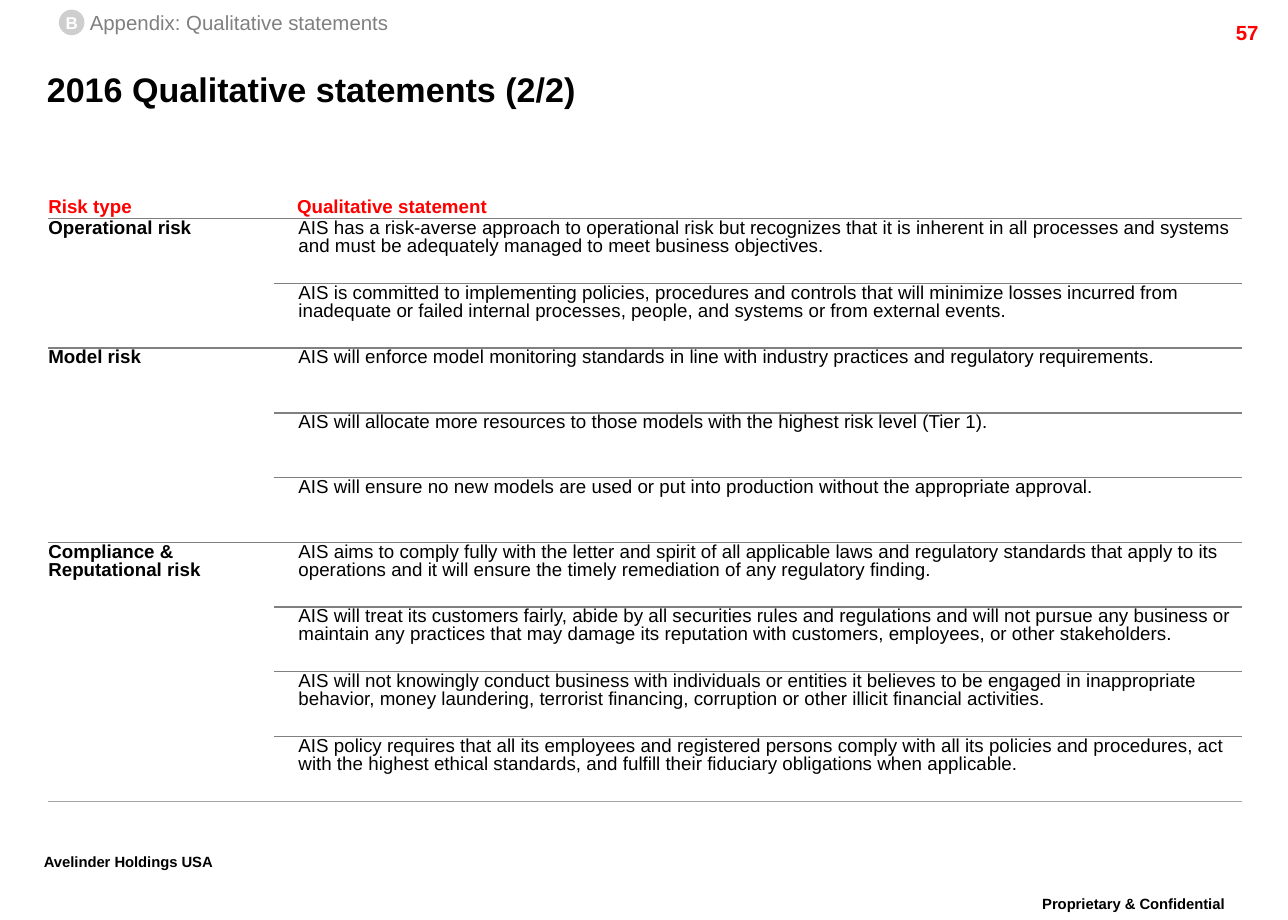
"""Build the qualitative risk statements appendix slide."""
from dataclasses import dataclass

from lxml import etree
from pptx import Presentation
from pptx.dml.color import RGBColor
from pptx.enum import shapes, text
from pptx.oxml import ns
from pptx.util import Cm, Pt

BLACK = RGBColor(0x00, 0x00, 0x00)
WHITE = RGBColor(0xFF, 0xFF, 0xFF)
RED = RGBColor(0xFF, 0x00, 0x00)
GREY = RGBColor(0x80, 0x80, 0x80)
LIGHT_GREY = RGBColor(0xA5, 0xA5, 0xA5)
BADGE_GREY = RGBColor(0xCE, 0xCE, 0xCE)
LEFT, CENTER, RIGHT = text.PP_ALIGN.LEFT, text.PP_ALIGN.CENTER, text.PP_ALIGN.RIGHT
TOP, MIDDLE = text.MSO_ANCHOR.TOP, text.MSO_ANCHOR.MIDDLE
NO_GRID_STYLE = "{2D5ABB26-0587-4C30-8999-92F81FD0307C}"
LINE_SPACING = 0.86


@dataclass(frozen=True)
class Label:
    """Text box with its place in centimetres and its look."""
    words: str
    left: float
    top: float
    width: float
    height: float
    size: float
    color: RGBColor = BLACK
    bold: bool = True
    align: text.PP_ALIGN = LEFT
    anchor: text.MSO_ANCHOR = MIDDLE
    margins: tuple[float, float] = (0, 0)
    raised: bool = False


@dataclass(frozen=True)
class Risk:
    """Risk type with its qualitative statements."""
    name: str
    statements: tuple[str, ...]


LABELS = (
    Label("Proprietary & Confidential", 20.7, 18.42, 5.54, 0.89, 15,
          align=CENTER, anchor=TOP, margins=(0.25, 0.13), raised=True),
    Label("Avelinder Holdings USA", 0.66, 17.55, 4.85, 0.89, 15,
          anchor=TOP, margins=(0.25, 0.13), raised=True),
    Label("57", 23.77, 0.28, 2.54, 0.61, 12, RED,
          align=RIGHT, anchor=TOP, margins=(0.25, 0.13)),
    Label("2016 Qualitative statements (2/2)", 0.97, 1.24, 24.08, 1.22, 20),
    Label("Appendix: Qualitative statements", 1.86, 0.2, 6.6, 0.51, 12, GREY, bold=False),
)

RISKS = (
    Risk("Operational risk", (
        "AIS has a risk-averse approach to operational risk but recognizes that it is inherent in "
        "all processes and systems and must be adequately managed to meet business objectives.",
        "AIS is committed to implementing policies, procedures and controls that will minimize "
        "losses incurred from inadequate or failed internal processes, people, and systems or "
        "from external events.")),
    Risk("Model risk", (
        "AIS will enforce model monitoring standards in line with industry practices and "
        "regulatory requirements.",
        "AIS will allocate more resources to those models with the highest risk level (Tier 1).",
        "AIS will ensure no new models are used or put into production without the appropriate "
        "approval.")),
    Risk("Compliance & Reputational risk", (
        "AIS aims to comply fully with the letter and spirit of all applicable laws and "
        "regulatory standards that apply to its operations and it will ensure the timely "
        "remediation of any regulatory finding.",
        "AIS will treat its customers fairly, abide by all securities rules and regulations and "
        "will not pursue any business or maintain any practices that may damage its reputation "
        "with customers, employees, or other stakeholders.",
        "AIS will not knowingly conduct business with individuals or entities it believes to be "
        "engaged in inappropriate behavior, money laundering, terrorist financing, corruption or "
        "other illicit financial activities.",
        "AIS policy requires that all its employees and registered persons comply with all its "
        "policies and procedures, act with the highest ethical standards, and fulfill their "
        "fiduciary obligations when applicable.")),
)


def write(paragraph, words: str, size: float, color: RGBColor, bold: bool):
    """Put one styled run in a paragraph and return it."""
    run = paragraph.add_run()
    run.text = words
    font = paragraph.font
    font.name, font.size, font.bold = "Arial", Pt(size), bold
    font.color.rgb = color
    return run


def add_label(slide, label: Label) -> None:
    """Draw a text box."""
    box = slide.shapes.add_textbox(
        Cm(label.left), Cm(label.top), Cm(label.width), Cm(label.height))
    frame = box.text_frame
    frame.word_wrap = True
    frame.vertical_anchor = label.anchor
    frame.margin_left = frame.margin_right = Cm(label.margins[0])
    frame.margin_top = frame.margin_bottom = Cm(label.margins[1])
    paragraph = frame.paragraphs[0]
    paragraph.alignment = label.align
    run = write(paragraph, label.words, label.size, label.color, label.bold)
    if label.raised:
        paragraph.line_spacing = LINE_SPACING
        run._r.get_or_add_rPr().set("baseline", "30000")


def add_badge(slide) -> None:
    """Draw the round section letter."""
    badge = slide.shapes.add_shape(
        shapes.MSO_SHAPE.OVAL, Cm(1.22), Cm(0.2), Cm(0.53), Cm(0.53))
    badge.shadow.inherit = False
    badge.fill.solid()
    badge.fill.fore_color.rgb = BADGE_GREY
    badge.line.fill.background()
    frame = badge.text_frame
    frame.word_wrap = False
    frame.vertical_anchor = MIDDLE
    frame.margin_left = frame.margin_right = frame.margin_top = frame.margin_bottom = 0
    frame.paragraphs[0].alignment = CENTER
    write(frame.paragraphs[0], "B", 10, WHITE, True)


def add_border(cell, side: str, color: RGBColor, width: float) -> None:
    """Draw one border line of a cell."""
    line = etree.SubElement(cell._tc.get_or_add_tcPr(), ns.qn(f"a:{side}"), w=str(Pt(width)))
    fill = etree.SubElement(line, ns.qn("a:solidFill"))
    etree.SubElement(fill, ns.qn("a:srgbClr"), val=str(color))


def fill_cell(cell, words: str, indent: float, color: RGBColor, bold: bool,
              header: bool = False, last: bool = False) -> None:
    """Write a cell and rule its upper and lower edges."""
    if not header:
        add_border(cell, "lnT", GREY, 1)
    add_border(cell, "lnB", *((LIGHT_GREY, 0.75) if last else (GREY, 1)))
    if header:
        cell.fill.background()
    else:
        cell.fill.solid()
        cell.fill.fore_color.rgb = WHITE
    cell.vertical_anchor = MIDDLE if header else TOP
    cell.margin_left, cell.margin_right = Cm(indent), Cm(0.03)
    cell.margin_top, cell.margin_bottom = Cm(0.03), 0
    paragraph = cell.text_frame.paragraphs[0]
    paragraph.line_spacing = LINE_SPACING
    write(paragraph, words, 11, color, bold)


def add_risk_table(slide) -> None:
    """Draw the table of risk types and statements."""
    count = sum(len(risk.statements) for risk in RISKS)
    header_height, row_height = 0.47, 1.34
    table = slide.shapes.add_table(
        count + 1, 2, Cm(1), Cm(4.06), Cm(24.71), Cm(header_height + count * row_height)).table
    table.first_row = table.horz_banding = False
    table._tbl.tblPr.find(ns.qn("a:tableStyleId")).text = NO_GRID_STYLE
    for column, width in zip(table.columns, (4.67, 20.04)):
        column.width = Cm(width)
    for index, row in enumerate(table.rows):
        row.height = Cm(row_height if index else header_height)
    fill_cell(table.cell(0, 0), "Risk type", 0, RED, True, header=True)
    fill_cell(table.cell(0, 1), "Qualitative statement", 0.48, RED, True, header=True)
    first = 1
    for risk in RISKS:
        final = first + len(risk.statements) - 1
        name_cell = table.cell(first, 0)
        name_cell.merge(table.cell(final, 0))
        fill_cell(name_cell, risk.name, 0, BLACK, True, last=final == count)
        for index, statement in enumerate(risk.statements, first):
            fill_cell(table.cell(index, 1), statement, 0.51, BLACK, False, last=index == count)
        first = final + 1


def main() -> None:
    """Build and save the slide."""
    presentation = Presentation()
    presentation.slide_width, presentation.slide_height = Cm(26.67), Cm(19.05)
    slide = presentation.slides.add_slide(presentation.slide_layouts[6])
    add_risk_table(slide)
    for label in LABELS:
        add_label(slide, label)
    add_badge(slide)
    presentation.save("out.pptx")


if __name__ == "__main__":
    main()
